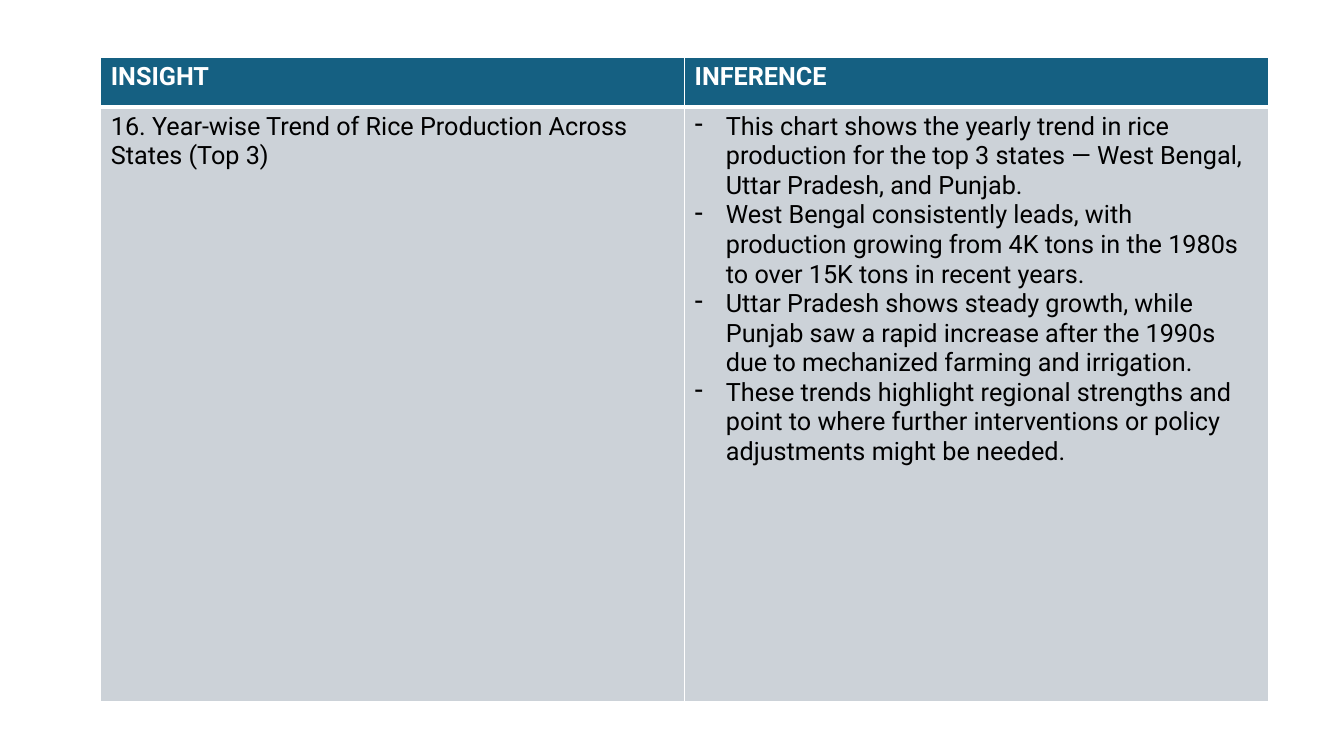
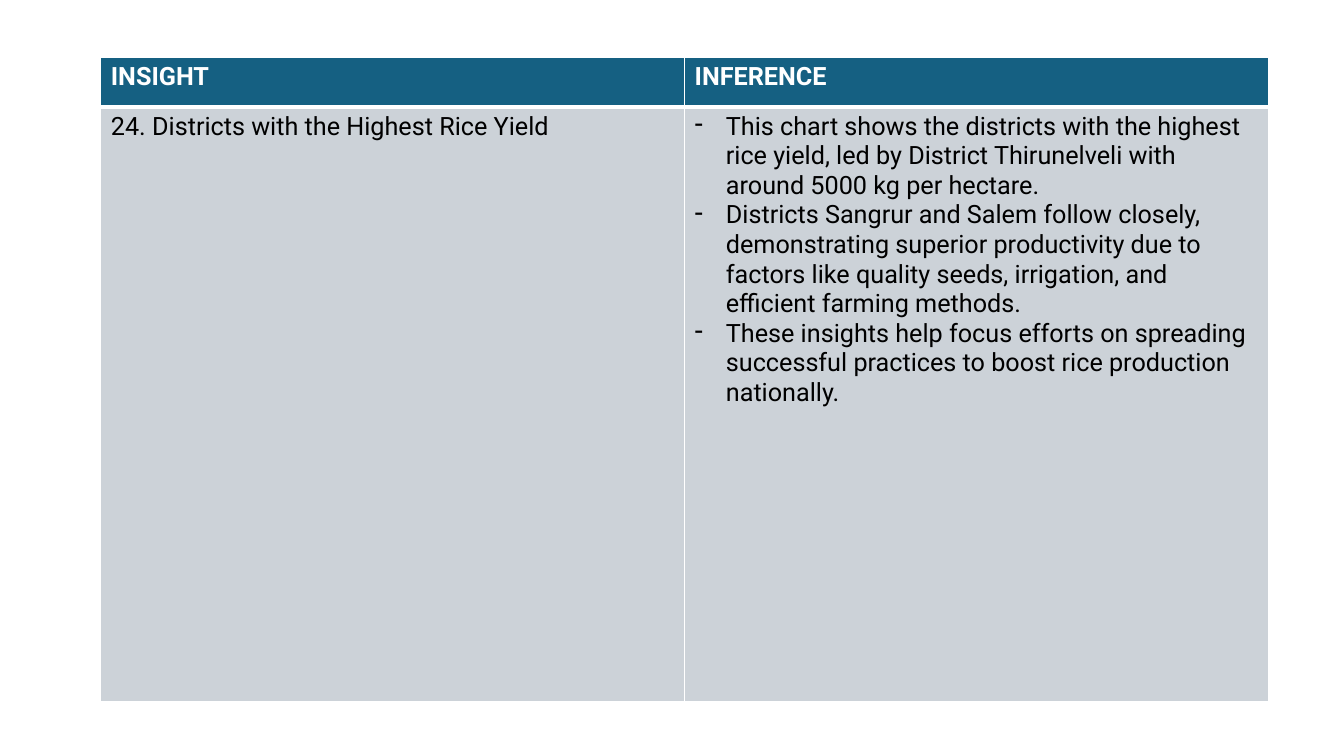
import pptx
import pptx.dml.color
import pptx.oxml
import pptx.oxml.ns
import pptx.util

HEADINGS = ("INSIGHT", "INFERENCE")
INSIGHTS = [
    {
        "insight": "16. Year-wise Trend of Rice Production Across States (Top 3)",
        "inferences": [
            "This chart shows the yearly trend in rice production for the top 3 states — West Bengal, Uttar Pradesh, and Punjab.",
            "West Bengal consistently leads, with production growing from 4K tons in the 1980s to over 15K tons in recent years.",
            "Uttar Pradesh shows steady growth, while Punjab saw a rapid increase after the 1990s due to mechanized farming and irrigation.",
            "These trends highlight regional strengths and point to where further interventions or policy adjustments might be needed.",
        ],
    },
    {
        "insight": "24. Districts with the Highest Rice Yield",
        "inferences": [
            "This chart shows the districts with the highest rice yield, led by District Thirunelveli with around 5000 kg per hectare.",
            "Districts Sangrur and Salem follow closely, demonstrating superior productivity due to factors like quality seeds, irrigation, and efficient farming methods.",
            "These insights help focus efforts on spreading successful practices to boost rice production nationally.",
        ],
    },
]

THEME = {
    "font": "Roboto",
    "size": 18,
    "border": "FFFFFF",
    "header": {
        "fill": "156082", "color": "FFFFFF", "bold": True,
        "borders": {"L": 1, "R": 1, "T": 1, "B": 3},
    },
    "body": {
        "fill": "CCD2D8", "color": "000000", "bold": False,
        "borders": {"L": 1, "R": 1, "T": 3, "B": 1},
    },
}
SLIDE_SIZE = (13.33, 7.5)
TABLE_LEFT, TABLE_TOP, TABLE_WIDTH = 1, 0.57, 11.58
ROW_HEIGHTS = (0.49, 5.9)
BULLET_INDENT = 0.31


def inches(value):
    return pptx.util.Inches(value)


def rgb(value):
    return pptx.dml.color.RGBColor.from_string(value)


def add_borders(cell, widths):
    properties = cell._tc.get_or_add_tcPr()
    for side, width in widths.items():
        properties.append(pptx.oxml.parse_xml(
            f'<a:ln{side} {pptx.oxml.ns.nsdecls("a")} w="{pptx.util.Pt(width)}">'
            f'<a:solidFill><a:srgbClr val="{THEME["border"]}"/></a:solidFill>'
            f'</a:ln{side}>'))


def add_dash(paragraph):
    properties = paragraph._p.get_or_add_pPr()
    indent = inches(BULLET_INDENT)
    for name, value in {"marL": indent, "indent": -indent}.items():
        properties.set(name, str(value))
    properties.append(pptx.oxml.parse_xml(
        f'<a:buChar {pptx.oxml.ns.nsdecls("a")} char="-"/>'))


def fill_cell(cell, lines, style, dashed):
    add_borders(cell, style["borders"])
    cell.fill.solid()
    cell.fill.fore_color.rgb = rgb(style["fill"])
    font_format = {
        "name": THEME["font"],
        "size": pptx.util.Pt(THEME["size"]),
        "bold": style["bold"],
    }
    for index, line in enumerate(lines):
        frame = cell.text_frame
        paragraph = frame.add_paragraph() if index else frame.paragraphs[0]
        if dashed:
            add_dash(paragraph)
        run = paragraph.add_run()
        run.text = line
        for name, value in font_format.items():
            setattr(run.font, name, value)
        run.font.color.rgb = rgb(style["color"])


def add_insight_slide(presentation, content):
    slide = presentation.slides.add_slide(presentation.slide_layouts[6])
    rows = [
        ("header", [[heading] for heading in HEADINGS]),
        ("body", [[content["insight"]], content["inferences"]]),
    ]
    table = slide.shapes.add_table(
        len(rows), len(HEADINGS), inches(TABLE_LEFT), inches(TABLE_TOP),
        inches(TABLE_WIDTH), inches(sum(ROW_HEIGHTS))).table
    for column in table.columns:
        column.width = inches(TABLE_WIDTH / len(HEADINGS))
    for row, height, (kind, texts) in zip(table.rows, ROW_HEIGHTS, rows):
        row.height = inches(height)
        for cell, lines in zip(row.cells, texts):
            dashed = lines is content["inferences"]
            fill_cell(cell, lines, THEME[kind], dashed)


def main():
    presentation = pptx.Presentation()
    presentation.slide_width, presentation.slide_height = map(inches, SLIDE_SIZE)
    for content in INSIGHTS:
        add_insight_slide(presentation, content)
    presentation.save("out.pptx")


if __name__ == "__main__":
    main()
